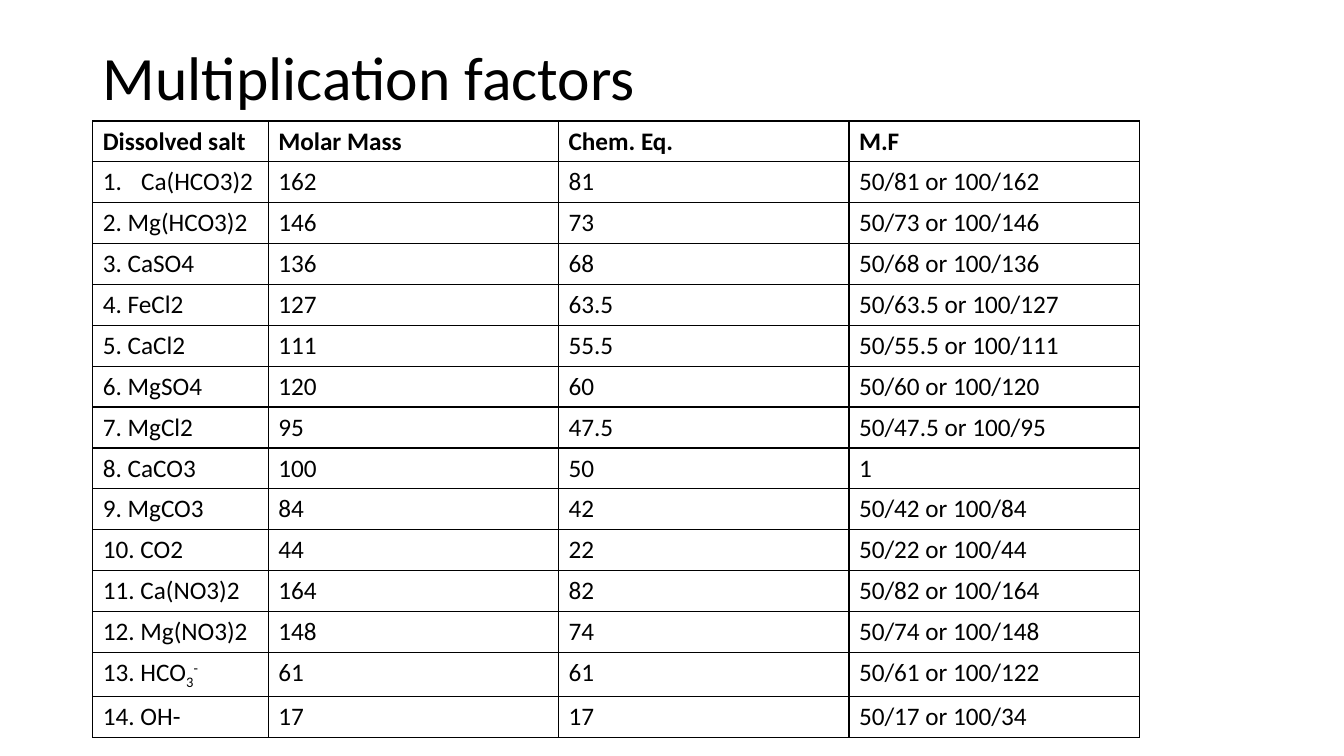
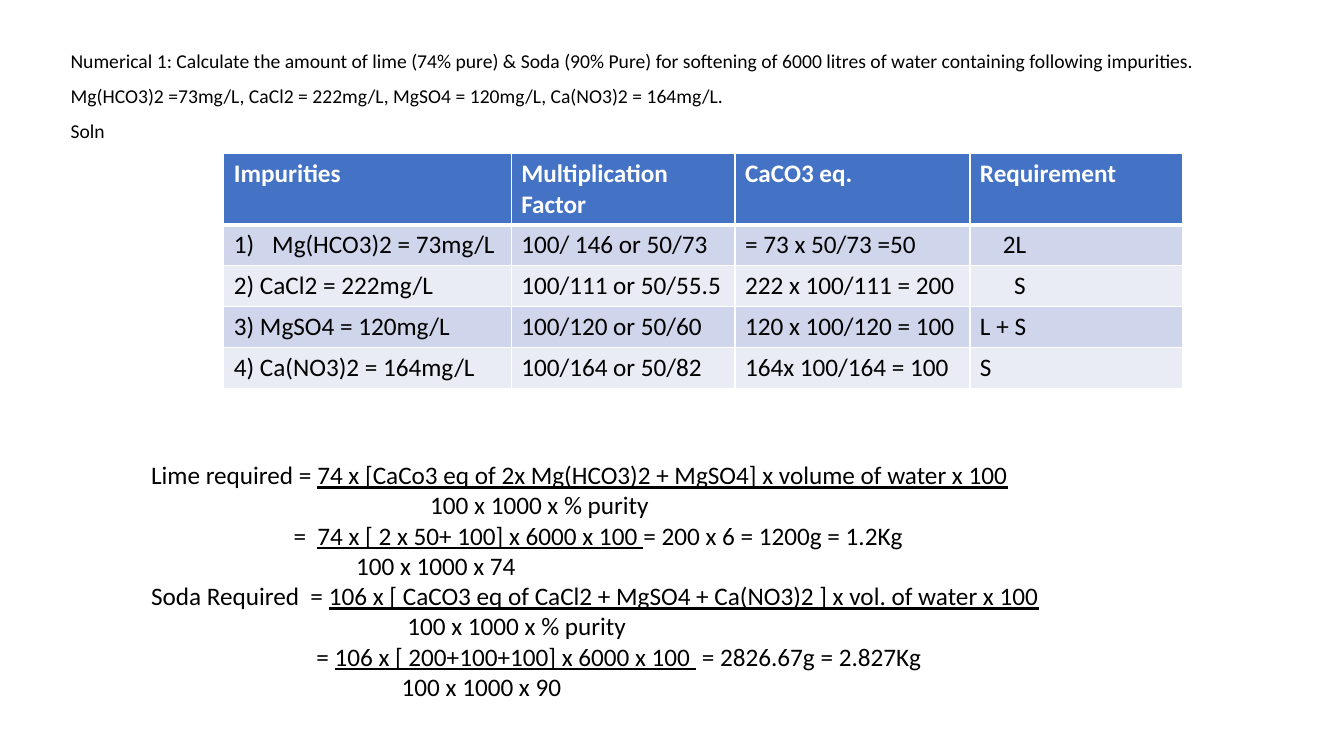
from lxml.etree import SubElement
from pptx import Presentation
from pptx.dml.color import RGBColor
from pptx.enum.text import MSO_ANCHOR, PP_ALIGN
from pptx.oxml import parse_xml
from pptx.oxml.ns import nsdecls, qn
from pptx.util import Inches, Pt

# Shared style
FONT = "Calibri"
BLACK, WHITE = "000000", "FFFFFF"
HEADER_FILL, BAND_FILLS = "4472C4", ("CFD5EA", "E9EBF5")
ROW_HEIGHT = 0.4
NUMBER_INDENT = 0.38
SPACE_WIDTH = 0.0565  # one space of 18 pt text, in inches

# Slide 1 content
FACTORS_TITLE = "Multiplication factors"
FACTORS = [
    ("Dissolved salt", "Molar Mass", "Chem. Eq.", "M.F"),
    ({"text": "Ca(HCO3)2", "numbering": "arabicPeriod"}, "162", "81", "50/81 or 100/162"),
    ("2. Mg(HCO3)2", "146", "73", "50/73 or 100/146"),
    ("3. CaSO4", "136", "68", "50/68 or 100/136"),
    ("4. FeCl2", "127", "63.5", "50/63.5 or 100/127"),
    ("5. CaCl2", "111", "55.5", "50/55.5 or 100/111"),
    ("6. MgSO4", "120", "60", "50/60 or 100/120"),
    ("7. MgCl2", "95", "47.5", "50/47.5 or 100/95"),
    ("8. CaCO3", "100", "50", "1"),
    ("9. MgCO3", "84", "42", "50/42 or 100/84"),
    ("10. CO2", "44", "22", "50/22 or 100/44"),
    ("11. Ca(NO3)2", "164", "82", "50/82 or 100/164"),
    ("12. Mg(NO3)2", "148", "74", "50/74 or 100/148"),
    ({"text": [("13. HCO", {}), ("3", {"baseline": -25}), ("-", {"baseline": 30})]},
     "61", "61", "50/61 or 100/122"),
    ("14. OH-", "17", "17", "50/17 or 100/34"),
]

# Slide 2 content
PROBLEM = [
    "Numerical 1: Calculate the amount of lime (74% pure) & Soda (90% Pure) for softening of "
    "6000 litres of water containing following impurities.",
    "Mg(HCO3)2 =73mg/L, CaCl2 = 222mg/L, MgSO4 = 120mg/L, Ca(NO3)2 = 164mg/L.",
    "Soln",
]
IMPURITIES = [
    ("Impurities", "Multiplication Factor", "CaCO3 eq.", "Requirement"),
    ({"text": "Mg(HCO3)2 = 73mg/L", "numbering": "arabicParenR"}, "100/ 146 or 50/73",
     "= 73 x 50/73 =50", {"text": "2L", "indent": 4 * SPACE_WIDTH}),
    ("2) CaCl2 = 222mg/L", "100/111 or 50/55.5", "222 x 100/111 = 200",
     {"text": "S", "indent": 6 * SPACE_WIDTH}),
    ("3) MgSO4 = 120mg/L", "100/120 or 50/60", "120 x 100/120 = 100", "L + S"),
    ("4) Ca(NO3)2 = 164mg/L", "100/164 or 50/82", "164x 100/164 = 100", "S"),
]
UNDERLINED = {"underline": True}
# (indent in space widths, text or runs)
SOLUTION = [
    (0, [("Lime required = ", {}),
         ("74 x [CaCo3 eq of 2x Mg(HCO3)2 + MgSO4] x volume of water x 100", UNDERLINED)]),
    (49, "100 x 1000 x % purity"),
    (25, [("=  ", {}), ("74 x [ 2 x 50+ 100] x 6000 x 100 ", UNDERLINED),
          ("= 200 x 6 = 1200g = 1.2Kg", {})]),
    (36, "100 x 1000 x 74"),
    (0, [("Soda Required  = ", {}),
         ("106 x [ CaCO3 eq of CaCl2 + MgSO4 + Ca(NO3)2 ] x vol. of water x 100", UNDERLINED)]),
    (45, "100 x 1000 x % purity"),
    (29, [("= ", {}), ("106 x [ 200+100+100] x 6000 x 100 ", UNDERLINED),
          (" = 2826.67g = 2.827Kg", {})]),
    (44, "100 x 1000 x 90"),
]


def color(value):
    return RGBColor.from_string(value)


def place(shape, left, top, width, height):
    shape.left, shape.top = Inches(left), Inches(top)
    shape.width, shape.height = Inches(width), Inches(height)


def write(paragraph, text, size=18, fill=BLACK, bold=False, indent=0, numbering=None,
          line_spacing=None, space_before=0):
    """Fill a paragraph with a string or with (text, format) runs."""
    paragraph.alignment = PP_ALIGN.LEFT
    paragraph.space_before = Pt(space_before)
    if line_spacing:
        paragraph.line_spacing = line_spacing
    properties = paragraph._p.get_or_add_pPr()
    hanging = NUMBER_INDENT if numbering else 0
    properties.set("marL", str(Inches(indent + hanging)))
    properties.set("indent", str(Inches(-hanging)))
    if numbering:
        SubElement(properties, qn("a:buFont"), typeface="+mj-lt")
        SubElement(properties, qn("a:buAutoNum"), type=numbering)
    else:
        SubElement(properties, qn("a:buNone"))
    for content, style in [(text, {})] if isinstance(text, str) else text:
        run = paragraph.add_run()
        run.text = content
        run.font.name, run.font.size, run.font.bold = FONT, Pt(size), bold
        run.font.color.rgb = color(fill)
        if style.get("underline"):
            run.font.underline = True
        if "baseline" in style:
            run._r.get_or_add_rPr().set("baseline", str(style["baseline"] * 1000))


def write_lines(frame, lines, **style):
    """Write one paragraph for each (indent, text) line."""
    for index, (indent, text) in enumerate(lines):
        paragraph = frame.add_paragraph() if index else frame.paragraphs[0]
        write(paragraph, text, indent=indent, **style)


def set_borders(cell, line_color, bottom_width=1):
    properties = cell._tc.get_or_add_tcPr()
    for index, side in enumerate("LRTB"):
        width = Pt(bottom_width if side == "B" else 1)
        properties.insert(index, parse_xml(
            f'<a:ln{side} {nsdecls("a")} w="{width}"><a:solidFill>'
            f'<a:srgbClr val="{line_color}"/></a:solidFill></a:ln{side}>'))


def add_grid(slide, rows, left, top, columns, line_color, header_height=ROW_HEIGHT,
             header_text=BLACK, header_fill=None, bands=(None,), header_line=1):
    height = header_height + ROW_HEIGHT * (len(rows) - 1)
    table = slide.shapes.add_table(len(rows), len(columns), Inches(left), Inches(top),
                                   Inches(sum(columns)), Inches(height)).table
    table.first_row = table.horz_banding = False
    for column, width in zip(table.columns, columns):
        column.width = Inches(width)
    for row_index, row in enumerate(rows):
        header = row_index == 0
        table.rows[row_index].height = Inches(header_height if header else ROW_HEIGHT)
        fill = header_fill if header else bands[(row_index - 1) % len(bands)]
        for column_index, content in enumerate(row):
            cell = table.cell(row_index, column_index)
            if fill:
                cell.fill.solid()
                cell.fill.fore_color.rgb = color(fill)
            else:
                cell.fill.background()
            # Neighbouring cells share the heavier line under the header
            set_borders(cell, line_color, header_line if header else 1)
            if row_index == 1:
                cell._tc.tcPr.find(qn("a:lnT")).set("w", str(Pt(header_line)))
            style = {"text": content} if isinstance(content, str) else content
            write(cell.text_frame.paragraphs[0], bold=header,
                  fill=header_text if header else BLACK, **style)


def add_factors_slide(presentation):
    slide = presentation.slides.add_slide(presentation.slide_layouts.get_by_name("Title Only"))
    title = slide.shapes.title
    place(title, 0.92, 0.4, 11.5, 0.8)
    title.text_frame.vertical_anchor = MSO_ANCHOR.MIDDLE
    write(title.text_frame.paragraphs[0], FACTORS_TITLE, size=44, line_spacing=0.9)
    add_grid(slide, FACTORS, 0.92, 1.2, [1.74] + [2.88] * 3, BLACK)


def add_numerical_slide(presentation):
    layout = presentation.slide_layouts.get_by_name("Title and Content")
    slide = presentation.slides.add_slide(layout)
    title = slide.shapes.title._element
    title.getparent().remove(title)
    body = slide.placeholders[1]
    place(body, 0.6, 0.46, 12.29, 6.78)
    write_lines(body.text_frame, [(0, line) for line in PROBLEM],
                size=14, line_spacing=0.9, space_before=10)
    add_grid(slide, IMPURITIES, 2.22, 1.52, [2.85, 2.22, 2.33, 2.11], WHITE,
             header_height=0.71, header_text=WHITE, header_fill=HEADER_FILL,
             bands=BAND_FILLS, header_line=3)
    solution = slide.shapes.add_textbox(Inches(1.4), Inches(4.51), Inches(9.11), Inches(2.52))
    solution.text_frame.word_wrap = True
    write_lines(solution.text_frame,
                [(spaces * SPACE_WIDTH, text) for spaces, text in SOLUTION])


def main():
    presentation = Presentation()
    presentation.slide_width, presentation.slide_height = Inches(13.33), Inches(7.5)
    add_factors_slide(presentation)
    add_numerical_slide(presentation)
    presentation.save("out.pptx")


if __name__ == "__main__":
    main()
